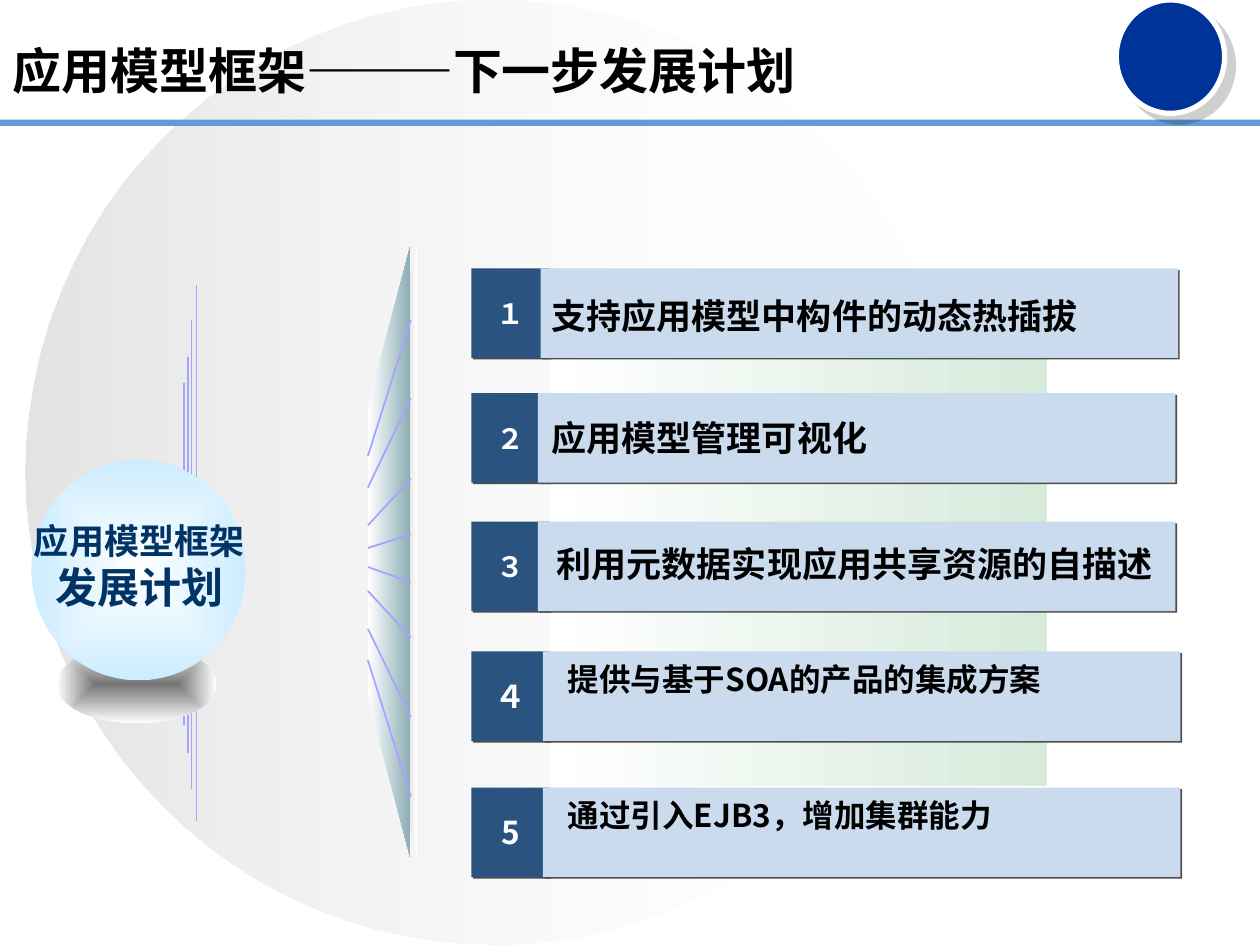
from lxml import etree
from pptx import Presentation
from pptx.dml.color import RGBColor
from pptx.enum.shapes import MSO_CONNECTOR as CONN, MSO_SHAPE as SHAPE
from pptx.enum.text import MSO_ANCHOR as ANCHOR, PP_ALIGN as ALIGN
from pptx.oxml import parse_xml
from pptx.oxml.ns import nsdecls, qn
from pptx.util import Inches, Pt

C = {"black": "000000", "white": "FFFFFF", "silver": "C0C0C0", "rule": "5E9CDA",
     "badge": "003399", "mint": "D7EBDB", "number": "2A5380", "bar": "CADBEE",
     "shade": "4D4D4D", "edge": "E5E5E5", "teal": "8BACB3", "ray": "A4A4FF",
     "base": "767676", "sky": "CCECFF", "navy": "003366"}


def rgb(name):
    return RGBColor.from_string(C[name])


def gradient(sp, start, end, alphas=(100, 100), radial=False):
    """Fill left to right, or from the centre outwards."""
    stops = "".join(
        f'<a:gs pos="{pos}"><a:srgbClr val="{C[name]}">'
        f'<a:alpha val="{alpha * 1000}"/></a:srgbClr></a:gs>'
        for pos, name, alpha in zip((0, 100000), (start, end), alphas))
    run = ('<a:path path="rect"><a:fillToRect l="50000" t="50000" r="50000" b="50000"/></a:path>'
           if radial else '<a:lin ang="0" scaled="0"/>')
    sp.fill.background()
    no_fill = sp._element.spPr.find(qn("a:noFill"))
    no_fill.getparent().replace(no_fill, parse_xml(
        f'<a:gradFill {nsdecls("a")} rotWithShape="1"><a:gsLst>{stops}</a:gsLst>{run}</a:gradFill>'))


def add_shadow(sp, name, alpha, dist):
    effects = sp._element.spPr.find(qn("a:effectLst"))
    effects.append(parse_xml(
        f'<a:outerShdw {nsdecls("a")} dist="{Pt(dist)}" dir="2700000" algn="ctr" rotWithShape="0">'
        f'<a:srgbClr val="{C[name]}"><a:alpha val="{alpha * 1000}"/></a:srgbClr></a:outerShdw>'))


def add_shape(s, kind, box, fill=None):
    sp = s.shapes.add_shape(kind, *map(Inches, box))
    sp.line.fill.background()
    sp.shadow.inherit = False
    if fill:
        sp.fill.solid()
        sp.fill.fore_color.rgb = rgb(fill)
    return sp


def add_line(s, x1, y1, x2, y2):
    line = s.shapes.add_connector(CONN.STRAIGHT, *map(Inches, (x1, y1, x2, y2)))
    line.line.color.rgb = rgb("ray")
    line.line.width = Pt(1)
    etree.SubElement(line._element.spPr, qn("a:effectLst"))


def add_polygon(s, points, start, end):
    points = [(Inches(x), Inches(y)) for x, y in points]
    builder = s.shapes.build_freeform(*points[0], scale=1.0)
    builder.add_line_segments(points[1:], close=True)
    sp = builder.convert_to_shape()
    sp.line.fill.background()
    sp.shadow.inherit = False
    gradient(sp, start, end)


def style(p, text, font, size, color, align=ALIGN.LEFT):
    p.text = text
    p.alignment = align
    p.font.name, p.font.size, p.font.bold = font, Pt(size), True
    p.font.color.rgb = rgb(color)


def backdrop(s):
    disc = add_shape(s, SHAPE.OVAL, (0.2, 0, 7.44, 7.5))
    gradient(disc, "silver", "white", alphas=(44, 0))
    add_shape(s, SHAPE.RECTANGLE, (0, 0.95, 10, 0.05), "rule")
    badge = add_shape(s, SHAPE.OVAL, (8.86, 0, 0.86, 0.9), "badge")
    badge.line.color.rgb = rgb("white")
    badge.line.width = Pt(3)
    add_shadow(badge, "black", 19, 7.1)


def title(s, box, text):
    sp = s.shapes.title
    sp.left, sp.top, sp.width, sp.height = map(Inches, box)
    sp.text_frame.vertical_anchor = ANCHOR.MIDDLE
    style(sp.text_frame.paragraphs[0], text, "Lato", 28, "black")
    s.shapes._spTree.append(sp._element)  # in front of the backdrop


def plan_row(s, top, bar_left, number, size, font, text, label_box, indent=0):
    height = 0.71
    tile = add_shape(s, SHAPE.RECTANGLE, (3.74, top, 0.62, height), "number")
    tile.text_frame.word_wrap = False
    tile.text_frame.vertical_anchor = ANCHOR.MIDDLE
    style(tile.text_frame.paragraphs[0], number, font, size, "white", ALIGN.CENTER)
    bar = add_shape(s, SHAPE.RECTANGLE, (bar_left, top, 5.06, height), "bar")
    for sp in (tile, bar):
        add_shadow(sp, "shade", 100, 1.4)
    tf = s.shapes.add_textbox(*map(Inches, label_box)).text_frame
    tf.word_wrap = True
    tf.vertical_anchor = ANCHOR.TOP if indent else ANCHOR.MIDDLE
    p = tf.paragraphs[0]
    style(p, text, font if indent else "Cabin", 18 if indent else 20, "black")
    if indent:
        p._p.get_or_add_pPr().set("marL", str(Inches(indent)))


def plan_list(s):
    gradient(add_shape(s, SHAPE.RECTANGLE, (4.37, 2.14, 3.94, 4.1)), "white", "mint")
    arial, noto = (16, "Arial"), (18, "Noto Sans CJK KR")
    plan_row(s, 2.13, 4.29, "１", *arial, "支持应用模型中构件的动态热插拔", (4.28, 2.21, 5.13, 0.59))
    plan_row(s, 3.12, 4.27, "２", *arial, "应用模型管理可视化", (4.28, 3.16, 4.89, 0.63))
    plan_row(s, 4.14, 4.27, "３", *arial, "利用元数据实现应用共享资源的自描述",
             (4.32, 4.22, 5.05, 0.51))
    plan_row(s, 5.17, 4.31, "４", *noto, "提供与基于SOA的产品的集成方案",
             (4.21, 5.19, 5, 0.4), indent=0.2)
    plan_row(s, 6.25, 4.31, "5", *noto, "通过引入EJB3，增加集群能力",
             (4.21, 6.27, 5.43, 0.4), indent=0.2)


def lens(s, left, right):
    """Tapered panel with rays, and the upright lines to its left."""
    top, bottom = 1.94, 6.82
    add_polygon(s, [(3.31, bottom), (3.25, 6.54), (3.25, 2.22), (3.31, top)], "edge", "white")
    add_polygon(s, [(right, bottom), (left, 5.53), (left, 3.23), (right, top)], "white", "teal")
    rays = [(3.62, 2.54), (3.87, 3.16), (4.17, 3.8), (4.35, 4.24),
            (4.5, 4.62), (4.69, 5.06), (4.99, 5.69), (5.24, 6.32)]
    for y1, y2 in rays:
        add_line(s, left, y1, right, y2)
    for x, y1, y2 in [(1.56, 2.26, 6.52), (1.52, 2.54, 6.26), (1.49, 2.83, 5.98), (1.46, 3.04, 5.75)]:
        add_line(s, x, y1, x, y2)


def sphere(s, box):
    left, top, width, height = box
    foot = add_shape(s, SHAPE.OVAL, (left + 0.2, top + 1.47, 1.27, 0.62))
    gradient(foot, "base", "white", radial=True)
    gradient(add_shape(s, SHAPE.OVAL, box), "white", "sky", radial=True)
    tf = s.shapes.add_textbox(*map(Inches, (left - 0.08, top + 0.42, width + 0.17, 0.84))).text_frame
    tf.word_wrap = False
    style(tf.paragraphs[0], "应用模型框架", "Cabin", 20, "navy", ALIGN.CENTER)
    style(tf.add_paragraph(), "发展计划", "Cabin", 24, "navy", ALIGN.CENTER)


def main():
    prs = Presentation()
    prs.slide_width, prs.slide_height = Inches(10), Inches(7.5)
    s = prs.slides.add_slide(prs.slide_layouts[5])
    backdrop(s)
    title(s, (0, 0.28, 8.5, 0.55), "应用模型框架———下一步发展计划")
    plan_list(s)
    lens(s, 2.92, 3.26)
    sphere(s, (0.25, 3.65, 1.7, 1.75))
    prs.save("out.pptx")


if __name__ == "__main__":
    main()
